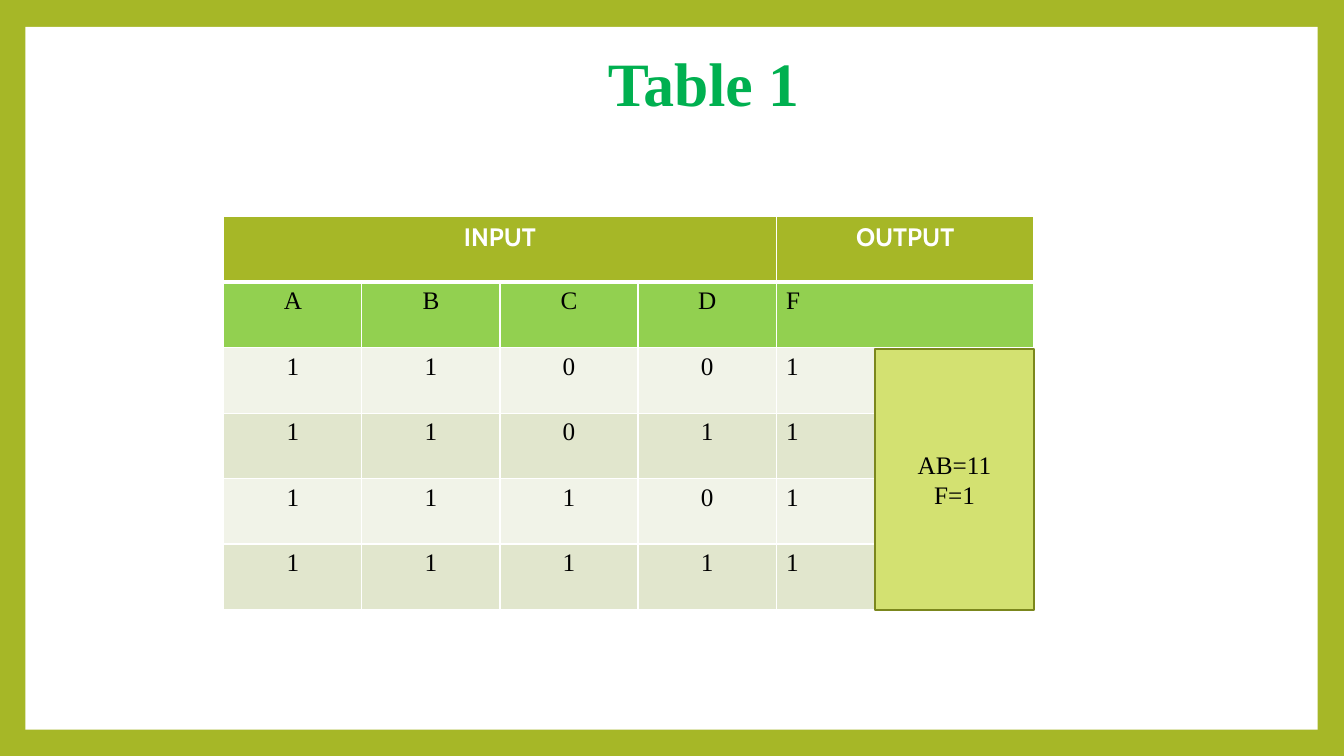
import pptx
import pptx.util
import pptx.dml.color
import pptx.enum.shapes
import pptx.enum.text
import pptx.oxml
import pptx.oxml.ns

Cm, Pt = pptx.util.Cm, pptx.util.Pt
RGB = pptx.dml.color.RGBColor
ALIGN = pptx.enum.text.PP_ALIGN
MIDDLE = pptx.enum.text.MSO_ANCHOR.MIDDLE
RECT = pptx.enum.shapes.MSO_SHAPE.RECTANGLE

OLIVE = RGB(0xA6, 0xB7, 0x27)
WHITE = RGB(0xFF, 0xFF, 0xFF)
BLACK = RGB(0x00, 0x00, 0x00)
GREEN = RGB(0x00, 0xB0, 0x50)
LEAF = RGB(0x92, 0xD0, 0x50)
PALE = RGB(0xF1, 0xF3, 0xE8)
SAGE = RGB(0xE1, 0xE6, 0xCD)
LIME = RGB(0xD3, 0xE1, 0x71)
MOSS = RGB(0x7B, 0x87, 0x1D)

SERIF = "Times New Roman"
TITLE = "Table 1"
NOTE = ["AB=11", "F=1"]
ROWS = [
    ["INPUT", "", "", "", "OUTPUT"],
    ["A", "B", "C", "D", "F"],
    ["1", "1", "0", "0", "1"],
    ["1", "1", "0", "1", "1"],
    ["1", "1", "1", "0", "1"],
    ["1", "1", "1", "1", "1"],
]
FILLS = [OLIVE, LEAF, PALE, SAGE, PALE, SAGE]
WIDTHS = [3.48] * 4 + [6.5]
HIGH = 1.65
LEFT, TOP = 5.64, 5.46
NOTE_W = 4.01


def write(frame, *lines, size=18, font=SERIF, color=BLACK, bold=False,
          align=ALIGN.CENTER, space=1.0):
    frame.word_wrap = True
    for i, line in enumerate(lines):
        para = frame.paragraphs[0] if i == 0 else frame.add_paragraph()
        para.alignment = align
        para.line_spacing = space
        run = para.add_run()
        run.text = line
        run.font.size = Pt(size)
        run.font.name = font
        run.font.bold = bold
        run.font.color.rgb = color


def box(x, y, w, h, fill, line=None):
    shape = slide.shapes.add_shape(RECT, Cm(x), Cm(y), Cm(w), Cm(h))
    shape.shadow.inherit = False
    shape.fill.solid()
    shape.fill.fore_color.rgb = fill
    if line is None:
        shape.line.fill.background()
    else:
        shape.line.color.rgb = line
        shape.line.width = Pt(1.5)
    return shape


def edge(cell, **widths):
    props = cell._tc.get_or_add_tcPr()
    for i, (side, width) in enumerate(widths.items()):
        props.insert(i, pptx.oxml.parse_xml(
            f'<a:ln{side} {pptx.oxml.ns.nsdecls("a")} w="{Pt(width)}">'
            f'<a:solidFill><a:srgbClr val="{WHITE}"/></a:solidFill></a:ln{side}>'))


deck = pptx.Presentation()
deck.slide_width, deck.slide_height = Cm(33.87), Cm(19.05)
slide = deck.slides.add_slide(deck.slide_layouts[5])
slide.background.fill.solid()
slide.background.fill.fore_color.rgb = OLIVE

panel = box(0.64, 0.68, 32.57, 17.71, WHITE)
title = slide.shapes.title
title.element.addprevious(panel.element)
title.left, title.top, title.width, title.height = Cm(3.91), Cm(1.27), Cm(27.64), Cm(1.83)
title.text_frame.vertical_anchor = MIDDLE
write(title.text_frame, TITLE, size=44, color=GREEN, bold=True, space=0.9)

wide = sum(WIDTHS)
table = slide.shapes.add_table(
    len(ROWS), len(WIDTHS), Cm(LEFT), Cm(TOP), Cm(wide), Cm(HIGH * len(ROWS))).table
for col, width in zip(table.columns, WIDTHS):
    col.width = Cm(width)
for r, (row, fill) in enumerate(zip(ROWS, FILLS)):
    table.rows[r].height = Cm(HIGH)
    for c, text in enumerate(row):
        cell = table.cell(r, c)
        cell.fill.solid()
        cell.fill.fore_color.rgb = fill
        edge(cell, L=1, R=1, T=3 if r == 1 else 1, B=3 if r == 0 else 1)
        if r == 0 and text:
            write(cell.text_frame, text, font="Cabin", color=WHITE, bold=True)
        elif text:
            write(cell.text_frame, text, align=ALIGN.LEFT if c == 4 else ALIGN.CENTER)
table.cell(0, 0).merge(table.cell(0, 3))

note = box(LEFT + wide - NOTE_W, TOP + 2 * HIGH + 0.03, NOTE_W, 4 * HIGH - 0.02, LIME, MOSS)
note.text_frame.vertical_anchor = MIDDLE
write(note.text_frame, *NOTE)

deck.save("out.pptx")
